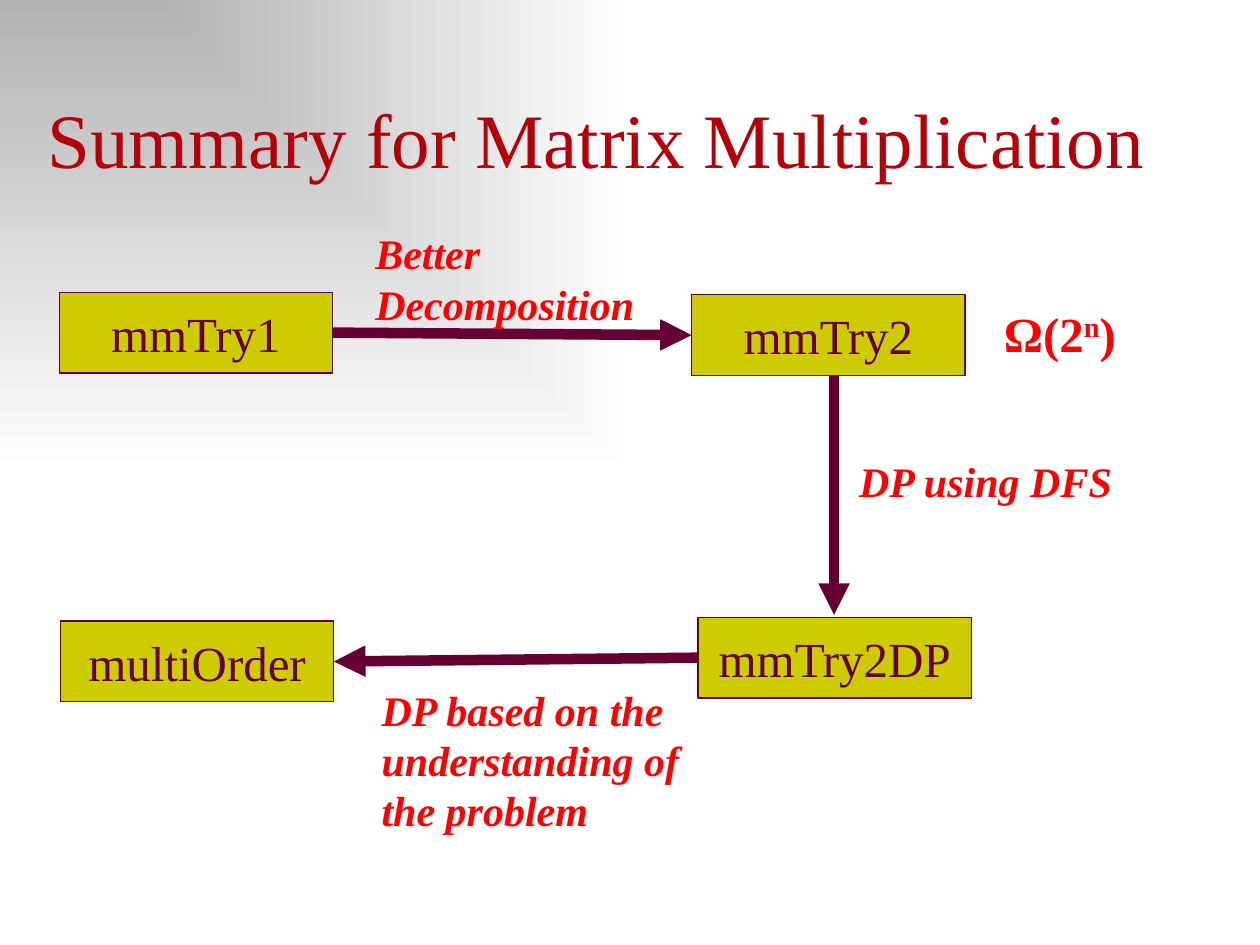
from lxml.etree import SubElement
from pptx import Presentation
from pptx.dml.color import RGBColor
from pptx.enum.shapes import MSO_CONNECTOR, MSO_SHAPE
from pptx.enum.text import MSO_ANCHOR, PP_ALIGN
from pptx.oxml.ns import qn
from pptx.util import Inches, Pt

FONT = "Times New Roman"
PLUM, OLIVE, RED, CRIMSON = "660033", "CCCC00", "FF0000", "B60009"
GRADIENT = ["B2B2B2", "FFFFFF"]

TITLE = ("Summary for Matrix Multiplication", (0.28, 0.67, 9.45, 0.84))
STEP_SIZE = (2.17, 0.64)
STEPS = [
    ("mmTry1", (0.47, 2.32)),
    ("mmTry2", (5.49, 2.34)),
    ("mmTry2DP", (5.54, 4.9)),
    ("multiOrder", (0.48, 4.93)),
]
ARROWS = [
    ((2.64, 2.64), (5.49, 2.66)),
    ((6.62, 2.98), (6.62, 4.88)),
    ((5.54, 5.22), (2.65, 5.25)),
]
LABELS = [
    ("Better Decomposition", (2.88, 1.76, 2.38, 0.91)),
    ("DP using DFS", (6.72, 3.57, 2.24, 0.5)),
    ("DP based on the understanding of the problem", (2.93, 5.38, 2.81, 1.31)),
]
BOUND = ([("Ω(2", 0), ("n", 30000), (")", 0)], (7.87, 2.36, 1.16, 0.57))

TITLE_FORMAT = {"size": Pt(44)}
STEP_FORMAT = {"size": Pt(28)}
LABEL_FORMAT = {"size": Pt(24), "bold": True, "italic": True}
BOUND_FORMAT = {"size": Pt(28), "bold": True}


def rgb(value):
    return RGBColor.from_string(value)


def inches(values):
    return [Inches(value) for value in values]


def add_span(para, text, color, formats):
    span = para.add_run()
    span.text = text
    span.font.name = FONT
    span.font.color.rgb = rgb(color)
    for name, value in formats.items():
        setattr(span.font, name, value)
    return span


def add_text(page, spans, place, color, formats, anchor=MSO_ANCHOR.TOP):
    """Add a text box from (text, baseline shift) pairs."""
    frame = page.shapes.add_textbox(*inches(place)).text_frame
    frame.word_wrap = True
    frame.vertical_anchor = anchor
    for text, baseline in spans:
        span = add_span(frame.paragraphs[0], text, color, formats)
        if baseline:
            span.font._element.set("baseline", str(baseline))


def add_step(page, text, corner):
    box = page.shapes.add_shape(MSO_SHAPE.RECTANGLE, *inches(corner + STEP_SIZE))
    box.shadow.inherit = False
    box.fill.solid()
    box.fill.fore_color.rgb = rgb(OLIVE)
    box.line.color.rgb = rgb(PLUM)
    box.line.width = Pt(0.75)
    box.text_frame.word_wrap = False
    box.text_frame.vertical_anchor = MSO_ANCHOR.MIDDLE
    para = box.text_frame.paragraphs[0]
    para.alignment = PP_ALIGN.CENTER
    add_span(para, text, PLUM, STEP_FORMAT)


def add_arrow(page, start, end):
    arrow = page.shapes.add_connector(MSO_CONNECTOR.STRAIGHT, *inches(start + end))
    arrow.line.color.rgb = rgb(PLUM)
    arrow.line.width = Pt(6)
    SubElement(arrow.line._get_or_add_ln(), qn("a:tailEnd"), type="triangle")
    SubElement(arrow._element.spPr, qn("a:effectLst"))


def paint_background(page):
    """Spread the gradient from the top left corner."""
    fill = page.background.fill
    fill.gradient()
    for stop, color in zip(fill.gradient_stops, GRADIENT):
        stop.color.rgb = rgb(color)
    gradient = next(page._element.iter(qn("a:gradFill")))
    gradient.remove(gradient.find(qn("a:lin")))
    shade = SubElement(gradient, qn("a:path"), path="rect")
    SubElement(shade, qn("a:fillToRect"), r="100000", b="100000")


def main():
    deck = Presentation()
    deck.slide_width, deck.slide_height = Inches(10), Inches(7.5)
    page = deck.slides.add_slide(deck.slide_layouts[6])
    paint_background(page)

    title, place = TITLE
    add_text(page, [(title, 0)], place, CRIMSON, TITLE_FORMAT, MSO_ANCHOR.BOTTOM)
    for text, corner in STEPS:
        add_step(page, text, corner)
    for start, end in ARROWS:
        add_arrow(page, start, end)
    for text, place in LABELS:
        add_text(page, [(text, 0)], place, RED, LABEL_FORMAT)
    add_text(page, *BOUND, RED, BOUND_FORMAT)

    deck.save("out.pptx")


if __name__ == "__main__":
    main()
